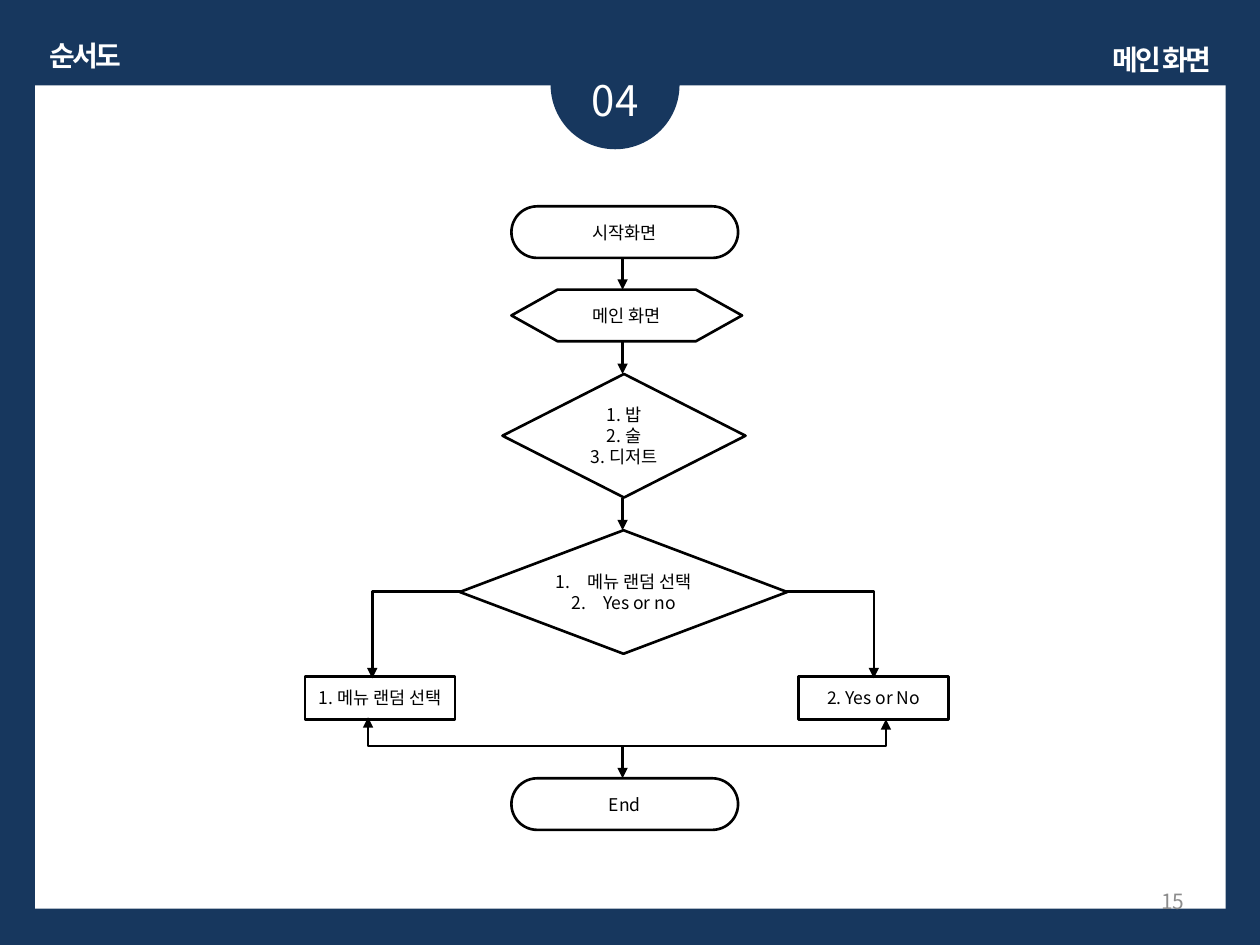
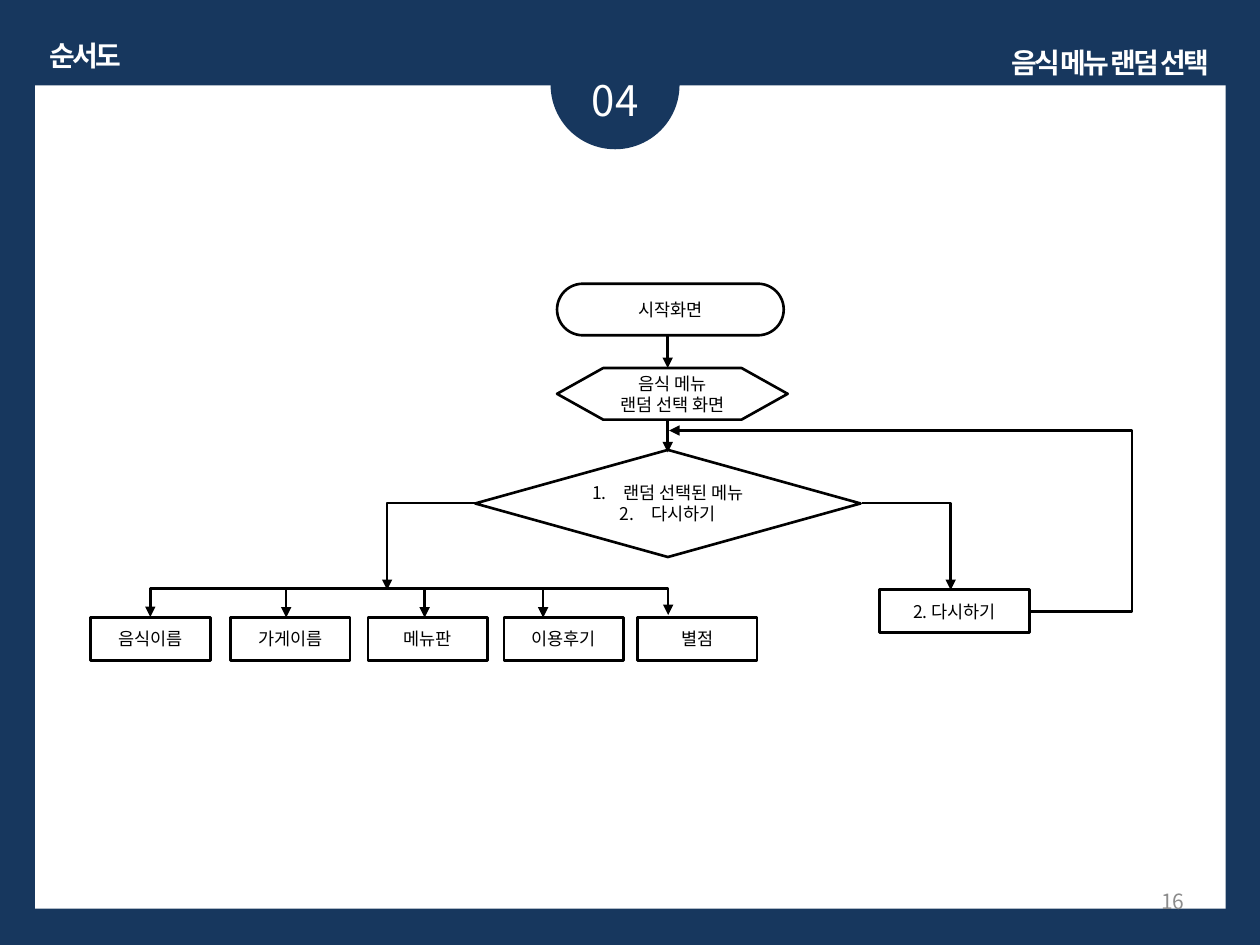
"""Builds two flowchart slides: the main screen and the random food menu choice."""
from dataclasses import dataclass

from lxml.etree import SubElement
from pptx import Presentation
from pptx.dml.color import RGBColor as RGB
from pptx.enum.shapes import MSO_CONNECTOR as LINK, MSO_SHAPE as SHAPE
from pptx.enum.text import MSO_ANCHOR as ANCHOR, MSO_AUTO_SIZE as FIT, PP_ALIGN as ALIGN
from pptx.oxml.ns import qn
from pptx.util import Cm, Pt


@dataclass(frozen=True)
class Theme:
    navy: RGB = RGB(0x17, 0x37, 0x5E)
    white: RGB = RGB(0xFF, 0xFF, 0xFF)
    black: RGB = RGB(0, 0, 0)
    grey: RGB = RGB(0x8C, 0x8C, 0x8C)
    font: str = "Noto Sans CJK KR"
    title: Pt = Pt(16)
    chapter: Pt = Pt(24)
    page: Pt = Pt(12)
    step: Pt = Pt(10)
    stroke: Pt = Pt(1.5)


theme = Theme()


def write(shape, text, size, color, align=ALIGN.CENTER, title=False, numbered=False):
    frame = shape.text_frame
    frame.text = text
    for paragraph in frame.paragraphs:
        paragraph.alignment = align
        if numbered:
            props = paragraph._p.get_or_add_pPr()
            props.set("marL", str(Cm(0.64)))
            props.set("indent", str(-Cm(0.64)))
            SubElement(props, qn("a:buAutoNum"), type="arabicPeriod")
        for run in paragraph.runs:
            run.font.size, run.font.name, run.font.bold = size, theme.font, title
            run.font.color.rgb = color
            SubElement(run._r.rPr, qn("a:ea"), typeface=theme.font)
            if title:
                run._r.rPr.set("spc", "-150")


def connect(slide, kind, begin_x, begin_y, end_x, end_y, ends=("headEnd",)):
    link = slide.shapes.add_connector(kind, Cm(begin_x), Cm(begin_y), Cm(end_x), Cm(end_y))
    link.line.color.rgb = theme.black
    link.line.width = theme.stroke
    for end in ends:
        SubElement(link.line._get_or_add_ln(), qn(f"a:{end}"), type="triangle")
    SubElement(link._element.spPr, qn("a:effectLst"))
    return link


terminal, screen = (4.57, 1.04), (4.65, 1.04)
action, detail = (3.02, 0.86), (2.41, 0.86)
corner, bracket = (1.75, 1.78), (0.04, 10.44)
both = ("headEnd", "tailEnd")
details = zip((1.83, 4.65, 7.42, 10.16, 12.85),
              ("음식이름", "가게이름", "메뉴판", "이용후기", "별점"))

charts = [
    dict(
        page="15", heading="메인 화면", heading_at=(22.07, 0.74, 2.72, 0.94),
        steps=[
            (SHAPE.ROUNDED_RECTANGLE, 10.31, 4.16, terminal, "시작화면", False),
            (SHAPE.FLOWCHART_PREPARATION, 10.31, 5.84, screen, "메인 화면", False),
            (SHAPE.FLOWCHART_DECISION, 10.13, 7.54, (4.9, 2.49), "1. 밥\n2. 술\n3. 디저트", False),
            (SHAPE.FLOWCHART_DECISION, 9.27, 10.69, (6.6, 2.49), "메뉴 랜덤 선택\nYes or no", True),
            (SHAPE.FLOWCHART_PROCESS, 6.15, 13.64, action, "1. 메뉴 랜덤 선택", False),
            (SHAPE.FLOWCHART_PROCESS, 16.1, 13.64, action, "2. Yes or No", False),
            (SHAPE.ROUNDED_RECTANGLE, 10.31, 15.69, terminal, "End", False),
        ],
        arrows=[(12.55, 5.84, 5.21), (12.55, 7.54, 6.88), (12.55, 10.69, 10.03),
                (12.55, 15.69, 15.04)],
        elbows=[
            (7.52, 11.91, corner, 90, "HV", None, both[:1]),
            (15.85, 11.91, corner, 270, "V", None, both[:1]),
            (12.62, 9.26, bracket, 270, "H", 14.5, both),
        ],
    ),
    dict(
        page="16", heading="음식 메뉴 랜덤 선택", heading_at=(19.84, 0.79, 5.08, 0.94),
        steps=[
            (SHAPE.ROUNDED_RECTANGLE, 11.23, 5.72, terminal, "시작화면", False),
            (SHAPE.FLOWCHART_PREPARATION, 11.23, 7.42, screen, "음식 메뉴\n랜덤 선택 화면", False),
            (SHAPE.FLOWCHART_DECISION, 9.58, 9.07, (7.77, 2.16), "랜덤 선택된 메뉴\n다시하기", True),
            (SHAPE.FLOWCHART_PROCESS, 17.73, 11.89, action, "2. 다시하기", False),
            *((SHAPE.FLOWCHART_PROCESS, x, 12.45, detail, label, False) for x, label in details),
        ],
        arrows=[(13.46, 7.42, 6.76), (13.46, 9.12, 8.46),
                *((x, 12.45, 11.89) for x in (5.77, 8.56, 10.95))],
        elbows=[
            (7.82, 10.13, corner, 90, "HV", None, both[:1]),
            (17.4, 10.13, corner, 270, "V", None, both[:1]),
            (8.23, 7.2, bracket, 90, "HV", 14.5, both),
            (13.49, 8.68, (7.26, 3.65), 0, "", 1.285, both[:1]),
        ],
    ),
]

deck = Presentation()
deck.slide_width, deck.slide_height = Cm(25.4), Cm(19.05)

for chart in charts:
    slide = deck.slides.add_slide(deck.slide_layouts[6])
    slide.background.fill.solid()
    slide.background.fill.fore_color.rgb = theme.navy

    for kind, color, area in [
        (SHAPE.RECTANGLE, theme.white, (0.71, 1.72, 24, 16.6)),
        (SHAPE.OVAL, theme.navy, (11.1, 0.41, 2.6, 2.6)),
    ]:
        panel = slide.shapes.add_shape(kind, *map(Cm, area))
        panel.shadow.inherit = False
        panel.fill.solid()
        panel.fill.fore_color.rgb = color
        panel.line.fill.background()

    for text, area, size, title in [
        ("순서도", (0.69, 0.66, 2.06, 0.94), theme.title, True),
        ("04", (10.9, 1.37, 3, 1.27), theme.chapter, False),
        (chart["heading"], chart["heading_at"], theme.title, True),
    ]:
        label = slide.shapes.add_textbox(*map(Cm, area))
        label.text_frame.word_wrap = not title
        label.text_frame.auto_size = FIT.SHAPE_TO_FIT_TEXT
        write(label, text, size, theme.white, title=title)

    page = slide.shapes.add_textbox(Cm(18.21), Cm(17.65), Cm(5.92), Cm(1.02))
    page.text_frame.word_wrap = True
    page.text_frame.vertical_anchor = ANCHOR.MIDDLE
    write(page, chart["page"], theme.page, theme.grey, ALIGN.RIGHT)

    for kind, x, y, (width, height), text, numbered in chart["steps"]:
        step = slide.shapes.add_shape(kind, Cm(x), Cm(y), Cm(width), Cm(height))
        step.shadow.inherit = False
        step.fill.solid()
        step.fill.fore_color.rgb = theme.white
        step.line.color.rgb = theme.black
        step.line.width = theme.stroke
        if kind == SHAPE.ROUNDED_RECTANGLE:
            step.adjustments[0] = 0.5
        step.text_frame.vertical_anchor = ANCHOR.MIDDLE
        write(step, text, theme.step, theme.black, numbered=numbered)

    for x, tip, tail in chart["arrows"]:
        connect(slide, LINK.STRAIGHT, x, tip, x, tail)

    for x, y, (width, height), turn, flips, bend, ends in chart["elbows"]:
        elbow = connect(slide, LINK.ELBOW, x, y, x + width, y + height, ends)
        frame = elbow._element.spPr.find(qn("a:xfrm"))
        frame.set("rot", str(turn * 60000))
        for flip in flips:
            frame.set(f"flip{flip}", "1")
        outline = elbow._element.spPr.find(qn("a:prstGeom"))
        if bend is None:
            outline.set("prst", "bentConnector2")
        else:
            SubElement(outline.get_or_add_avLst(), qn("a:gd"),
                       name="adj1", fmla=f"val {round(bend * 100000)}")

deck.save("out.pptx")
